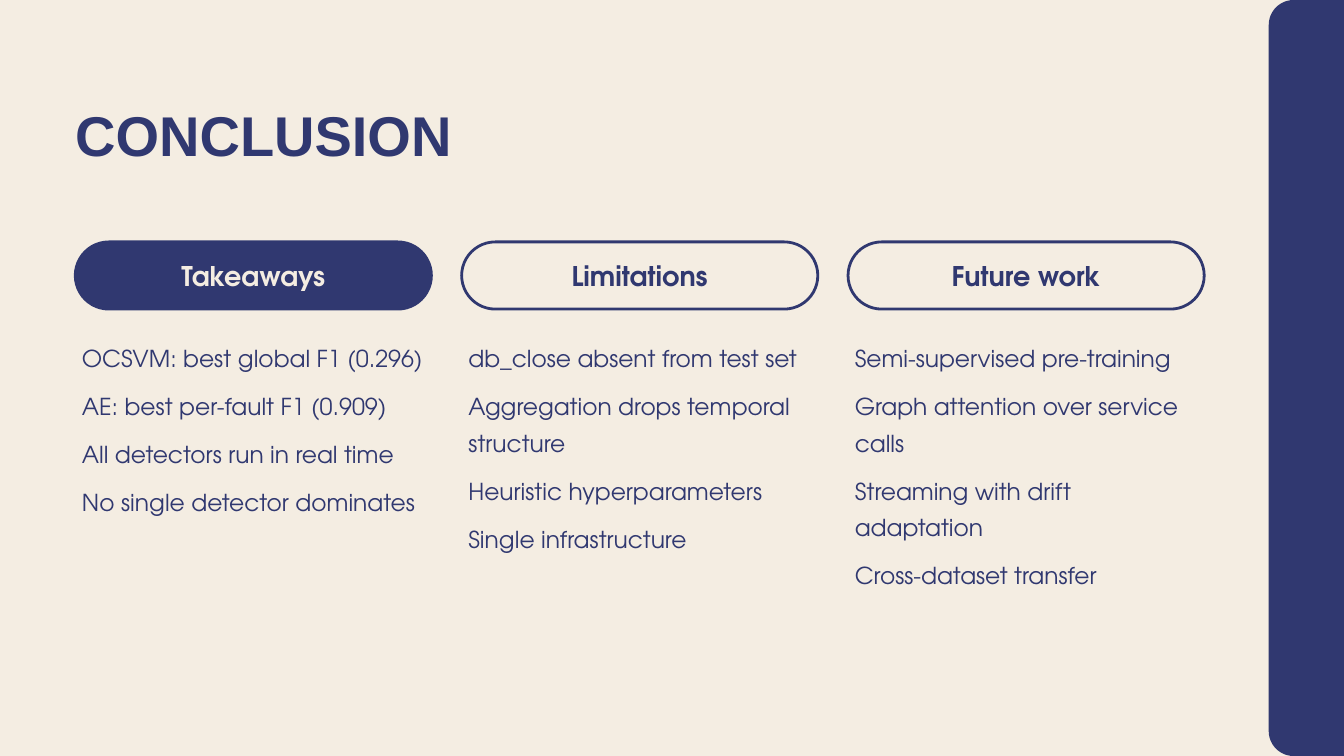
from pptx import Presentation
from pptx.dml.color import RGBColor
from pptx.enum import shapes, text
from pptx.util import Inches, Pt

NAVY = RGBColor(0x30, 0x38, 0x70)
CREAM = RGBColor(0xF4, 0xED, 0xE2)
HEADING_FONT = "Arial"
BODY_FONT = "TeX Gyre Adventor"

COLUMNS = [
    ("Takeaways", True, [
        "OCSVM: best global F1 (0.296)",
        "AE: best per-fault F1 (0.909)",
        "All detectors run in real time",
        "No single detector dominates",
    ]),
    ("Limitations", False, [
        "db_close absent from test set",
        "Aggregation drops temporal structure",
        "Heuristic hyperparameters",
        "Single infrastructure",
    ]),
    ("Future work", False, [
        "Semi-supervised pre-training",
        "Graph attention over service calls",
        "Streaming with drift adaptation",
        "Cross-dataset transfer",
    ]),
]


def write_text(frame, lines, size, font=BODY_FONT, color=NAVY, bold=False,
               align=text.PP_ALIGN.LEFT, spacing=1.0, gap=0, inset=0):
    """Fill a text frame with one paragraph for each line."""
    frame.word_wrap = True
    frame.margin_left = frame.margin_right = Inches(inset)
    frame.margin_top = frame.margin_bottom = 0
    for index, line in enumerate(lines):
        para = frame.add_paragraph() if index else frame.paragraphs[0]
        para.alignment = align
        para.line_spacing = spacing
        if index:
            para.space_before = Pt(gap)
        span = para.add_run()
        span.text = line
        span.font.name = font
        span.font.size = Pt(size)
        span.font.bold = bold
        span.font.color.rgb = color


def add_text(page, left, top, width, height, lines, size, **style):
    """Place a text box that grows with its lines."""
    box = page.shapes.add_textbox(Inches(left), Inches(top), Inches(width), Inches(height))
    write_text(box.text_frame, lines, size, **style)
    box.text_frame.auto_size = text.MSO_AUTO_SIZE.SHAPE_TO_FIT_TEXT


def add_rounded(page, left, top, width, height, radius):
    """Place a shadowless rounded rectangle with the given corner radius."""
    box = page.shapes.add_shape(shapes.MSO_SHAPE.ROUNDED_RECTANGLE, Inches(left),
                                Inches(top), Inches(width), Inches(height))
    box.adjustments[0] = radius / min(width, height)
    box.shadow.inherit = False
    return box


def add_side_band(page, left, top, width, height):
    """Place the navy band that runs past the right edge."""
    band = add_rounded(page, left, top, width, height, 0.37)
    band.fill.solid()
    band.fill.fore_color.rgb = NAVY
    band.line.fill.background()


def add_column(page, left, top, width, height, heading, filled, points):
    """Place a pill heading with its points below."""
    pill_height, points_top, indent = 1, 1.4, 0.1
    pill = add_rounded(page, left, top, width, pill_height, pill_height / 2)
    if filled:
        pill.fill.solid()
        pill.fill.fore_color.rgb = NAVY
    else:
        pill.fill.background()
    pill.line.color.rgb = NAVY
    pill.line.width = Pt(3)
    pill.text_frame.vertical_anchor = text.MSO_ANCHOR.MIDDLE
    write_text(pill.text_frame, [heading], 29, color=CREAM if filled else NAVY,
               bold=True, align=text.PP_ALIGN.CENTER, inset=0.25)
    add_text(page, left + indent, top + points_top, width - 2 * indent,
             height - points_top, points, 25, spacing=1.3, gap=12.5)


def add_columns(page, left, top, width, height):
    """Spread the columns evenly over the box."""
    gap = 0.45
    column_width = (width - gap * (len(COLUMNS) - 1)) / len(COLUMNS)
    for index, column in enumerate(COLUMNS):
        add_column(page, left + index * (column_width + gap), top,
                   column_width, height, *column)


def main():
    """Build and save the conclusion slide."""
    deck = Presentation()
    deck.slide_width, deck.slide_height = Inches(20), Inches(11.25)
    page = deck.slides.add_slide(deck.slide_layouts[6])
    page.background.fill.solid()
    page.background.fill.fore_color.rgb = CREAM
    add_side_band(page, 18.88, 0, 3.38, 11.25)
    add_text(page, 1.12, 1.45, 16, 1.3, ["CONCLUSION"], 60,
             font=HEADING_FONT, bold=True, spacing=1.05)
    add_columns(page, 1.12, 3.6, 16.8, 6.4)
    deck.save("out.pptx")


if __name__ == "__main__":
    main()
